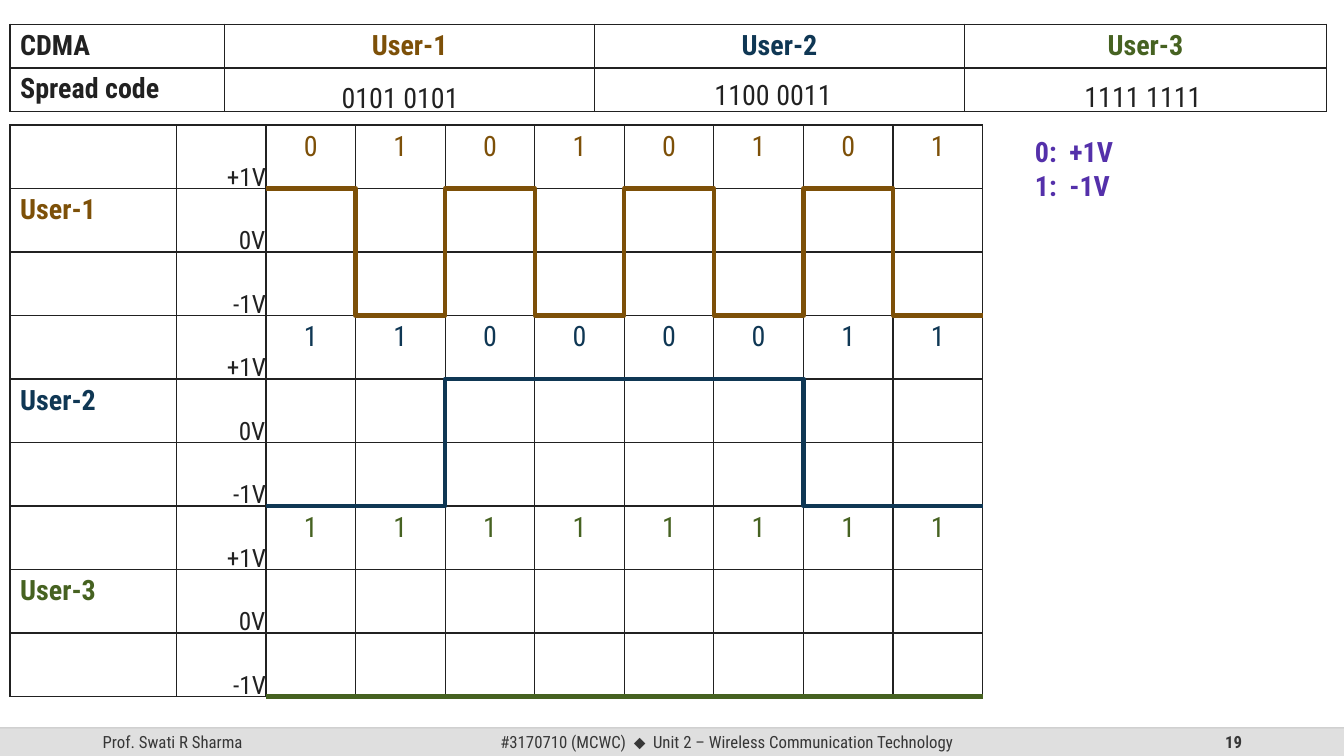
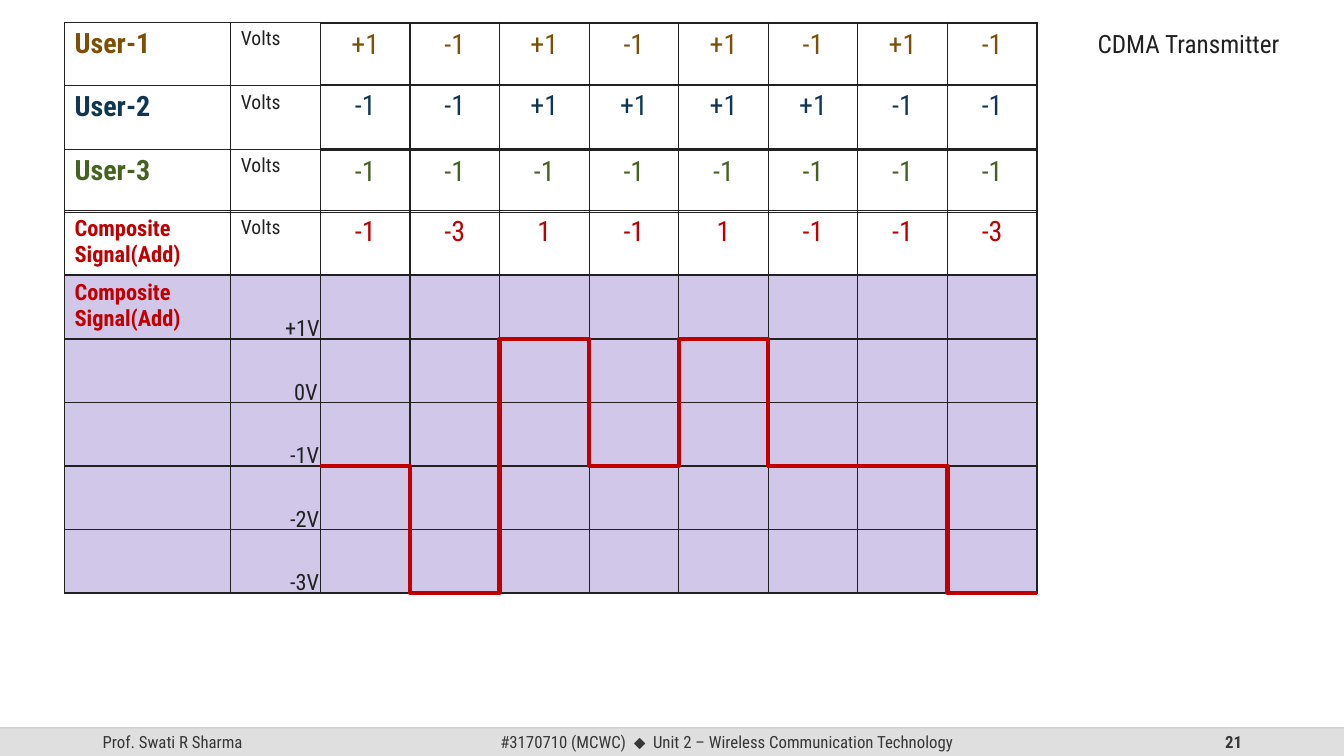
import dataclasses

import lxml.etree
import pptx
import pptx.dml.color
import pptx.enum.shapes
import pptx.enum.text
import pptx.oxml.ns
import pptx.util

Pt = pptx.util.Pt
qn = pptx.oxml.ns.qn
RGB = pptx.dml.color.RGBColor.from_string
ALIGN = pptx.enum.text.PP_ALIGN
STRAIGHT = pptx.enum.shapes.MSO_CONNECTOR.STRAIGHT


@dataclasses.dataclass(frozen=True)
class Theme:
    """Colours, fonts and type sizes of the deck."""
    font: str = "Roboto Condensed"
    symbol_font: str = "Arial"
    ink: str = "212121"
    users: tuple = ("7D5008", "0F3754", "466221")
    composite: str = "C00000"
    legend: str = "5430AA"
    shade: str = "D1C7E8"
    band: str = "DFDFDF"
    band_line: str = "BFBFBF"
    band_text: str = "373737"
    large: int = 20
    medium: int = 18
    label: int = 16
    small: int = 14
    footer: int = 12
    wave: int = 3


theme = Theme()


def write(frame, text, size, colour=theme.ink, bold=False, align=ALIGN.LEFT, wrap=False):
    """Put text in a frame, one paragraph a line, all in one style."""
    frame.text = text
    frame.word_wrap = wrap
    for paragraph in frame.paragraphs:
        paragraph.alignment = align
        paragraph.font.name = theme.font
        paragraph.font.size = Pt(size)
        paragraph.font.bold = bold
        paragraph.font.color.rgb = RGB(colour)


def add_table(slide, left, top, widths, heights, cells, fill=None):
    """Add a ruled table; cells maps (row, column) to the arguments of write."""
    frame = slide.shapes.add_table(len(heights), len(widths), Pt(left), Pt(top),
                                   Pt(sum(widths)), Pt(sum(heights)))
    table = frame.table
    table.first_row = table.horz_banding = False
    for column, width in zip(table.columns, widths):
        column.width = Pt(width)
    for row, height in zip(table.rows, heights):
        row.height = Pt(height)
    for cell in table.iter_cells():
        properties = cell._tc.get_or_add_tcPr()
        for side in ("a:lnL", "a:lnR", "a:lnT", "a:lnB"):
            border = lxml.etree.SubElement(properties, qn(side), w=str(Pt(1)))
            solid = lxml.etree.SubElement(border, qn("a:solidFill"))
            lxml.etree.SubElement(solid, qn("a:srgbClr"), val=theme.ink)
        if fill:
            cell.fill.solid()
            cell.fill.fore_color.rgb = RGB(fill)
        else:
            cell.fill.background()
    for (row, column), content in cells.items():
        write(table.cell(row, column).text_frame, *content, wrap=True)


presentation = pptx.Presentation()
presentation.slide_width = Pt(960)
presentation.slide_height = Pt(540)

# Slides with the shared footer
FOOTER_TOP, FOOTER_HEIGHT = 519.84, 20.16
for number in ("19", "21"):
    slide = presentation.slides.add_slide(presentation.slide_layouts[6])
    band = slide.shapes.add_shape(pptx.enum.shapes.MSO_SHAPE.RECTANGLE, 0, Pt(FOOTER_TOP),
                                  Pt(960), Pt(FOOTER_HEIGHT))
    band.shadow.inherit = False
    band.fill.solid()
    band.fill.fore_color.rgb = RGB(theme.band)
    band.line.fill.background()
    for left, width, text, bold, align in (
            (66.24, 216, "Prof. Swati R Sharma", False, ALIGN.LEFT),
            (678.24, 216, number, True, ALIGN.RIGHT),
            (318.24, 401.76, "#3170710 (MCWC)\u2002", False, ALIGN.CENTER)):
        frame = slide.shapes.add_textbox(Pt(left), Pt(FOOTER_TOP), Pt(width),
                                         Pt(FOOTER_HEIGHT)).text_frame
        write(frame, text, theme.footer, theme.band_text, bold, align, wrap=True)
        frame.vertical_anchor = pptx.enum.text.MSO_ANCHOR.MIDDLE
    for text, font in (("\u2b25", theme.symbol_font),
                       ("\u2002Unit 2 – Wireless Communication Technology", theme.font)):
        run = frame.paragraphs[0].add_run()
        run.text = text
        run.font.name = font
    rule = slide.shapes.add_connector(STRAIGHT, 0, Pt(FOOTER_TOP), Pt(960), Pt(FOOTER_TOP))
    rule.line.width = Pt(1)
    rule.line.color.rgb = RGB(theme.band_line)
    rule_colour = rule.element.spPr.find(".//" + qn("a:srgbClr"))
    lxml.etree.SubElement(rule_colour, qn("a:alpha"), val="70000")
    lxml.etree.SubElement(rule.element.spPr, qn("a:effectLst"))

code_slide, sum_slide = presentation.slides

# Codes, and the grid that both slides use
names = ("User-1", "User-2", "User-3")
codes = ("01010101", "11000011", "11111111")
volts = [[1 - 2 * int(bit) for bit in code] for code in codes]
totals = [sum(column) for column in zip(*volts)]
ROW, STEP = 45.36, 64
bit_columns = [STEP] * 8
grid_columns = [118.8, STEP] + bit_columns
BITS_OFFSET = 118.8 + STEP
waves = []

# Slide 19: spread codes and their signals
LEFT = 7.2
header_columns = (153.4, 264.2, 264.2, 258.5)
titles = {(0, 0): ("CDMA", theme.large, theme.ink, True)}
for index, (name, colour) in enumerate(zip(names, theme.users)):
    titles[0, index + 1] = (name, theme.large, colour, True, ALIGN.CENTER)
add_table(code_slide, LEFT, 17.28, header_columns, [30.96], titles)
add_table(code_slide, LEFT, 48.24, header_columns, [30.96],
          {(0, 0): ("Spread code", theme.large, theme.ink, True)})
for code, left, top in zip(codes, (236.9, 503.3, 767.5), (54, 51.84, 53.28)):
    box = code_slide.shapes.add_textbox(Pt(left), Pt(top), Pt(98.64), Pt(31.7))
    write(box.text_frame, f"{code[:4]} {code[4:]}", theme.large)

for index, (name, code, colour) in enumerate(zip(names, codes, theme.users)):
    top = 89.3 + 3 * ROW * index
    bits_left = LEFT + BITS_OFFSET
    add_table(code_slide, LEFT, top, grid_columns, [ROW] * 3,
              {(1, 0): (name, theme.large, colour, True)})
    add_table(code_slide, bits_left, top, bit_columns, [ROW],
              {(0, column): (bit, theme.large, colour, False, ALIGN.CENTER)
               for column, bit in enumerate(code)})
    for level, (label, width) in enumerate((("+1V", 42.5), ("0V", 34), ("-1V", 38))):
        box = code_slide.shapes.add_textbox(Pt(bits_left + 7.5 - width),
                                            Pt(top + 22.3 + ROW * level), Pt(width), Pt(29))
        write(box.text_frame, label, theme.medium)
    waves.append((code_slide, bits_left, top + 2 * ROW, volts[index], colour))

legend = code_slide.shapes.add_textbox(Pt(732.2), Pt(92.9), Pt(71.3), Pt(55.4))
write(legend.text_frame, "0:\u2002+1V\n1:\u2002-1V", theme.large, theme.legend, True)

# Slide 21: voltages and their sum
LEFT = 46.08
bits_left = LEFT + BITS_OFFSET
user_cells = {}
for index, (name, colour) in enumerate(zip(names, theme.users)):
    user_cells[index, 0] = (name, theme.large, colour, True)
    user_cells[index, 1] = ("Volts", theme.small)
add_table(sum_slide, LEFT, 15.84, grid_columns, [ROW] * 3, user_cells)
for top, height, levels, colour in zip((16.56, 60.48, 107.28), (43.9, ROW, 43.2),
                                       volts, theme.users):
    add_table(sum_slide, bits_left, top, bit_columns, [height],
              {(0, column): (f"{level:+d}", theme.large, colour, False, ALIGN.CENTER)
               for column, level in enumerate(levels)})

composite_title = ("Composite\nSignal(Add)", theme.label, theme.composite, True)
GRAPH_TOP = 196.56
add_table(sum_slide, LEFT, GRAPH_TOP, grid_columns, [ROW] * 5, {(0, 0): composite_title},
          theme.shade)
for index, (label, left) in enumerate((("+1V", 196.6), ("0V", 203), ("-1V", 200.2),
                                       ("-2V", 200.2), ("-3V", 200.2))):
    box = sum_slide.shapes.add_textbox(Pt(left), Pt(221 + ROW * index), Pt(43.2), Pt(26.6))
    write(box.text_frame, label, theme.label, wrap=True)
total_cells = {(0, 0): composite_title, (0, 1): ("Volts", theme.small)}
for column, total in enumerate(totals, start=2):
    total_cells[0, column] = (str(total), theme.large, theme.composite, False, ALIGN.CENTER)
add_table(sum_slide, LEFT, 150.5, grid_columns, [ROW], total_cells)
waves.append((sum_slide, bits_left, GRAPH_TOP + 2 * ROW, totals, theme.composite))

heading = sum_slide.shapes.add_textbox(Pt(776.9), Pt(16.6), Pt(146.9), Pt(28.8))
write(heading.text_frame, "CDMA Transmitter", theme.medium)

# Signals: one step a bit, a straight line where the level never changes
for slide, left, zero, levels, colour in waves:
    points = []
    for index, level in enumerate(levels):
        height = Pt(zero - level * ROW)
        points += [(Pt(left + STEP * index), height), (Pt(left + STEP * (index + 1)), height)]
    if len(set(levels)) == 1:
        signal = slide.shapes.add_connector(STRAIGHT, *points[0], *points[-1])
        lxml.etree.SubElement(signal.element.spPr, qn("a:effectLst"))
    else:
        builder = slide.shapes.build_freeform(*points[0])
        builder.add_line_segments(points[1:], close=False)
        signal = builder.convert_to_shape()
        signal.shadow.inherit = False
        signal.fill.background()
    signal.line.width = Pt(theme.wave)
    signal.line.color.rgb = RGB(colour)

presentation.save("out.pptx")
